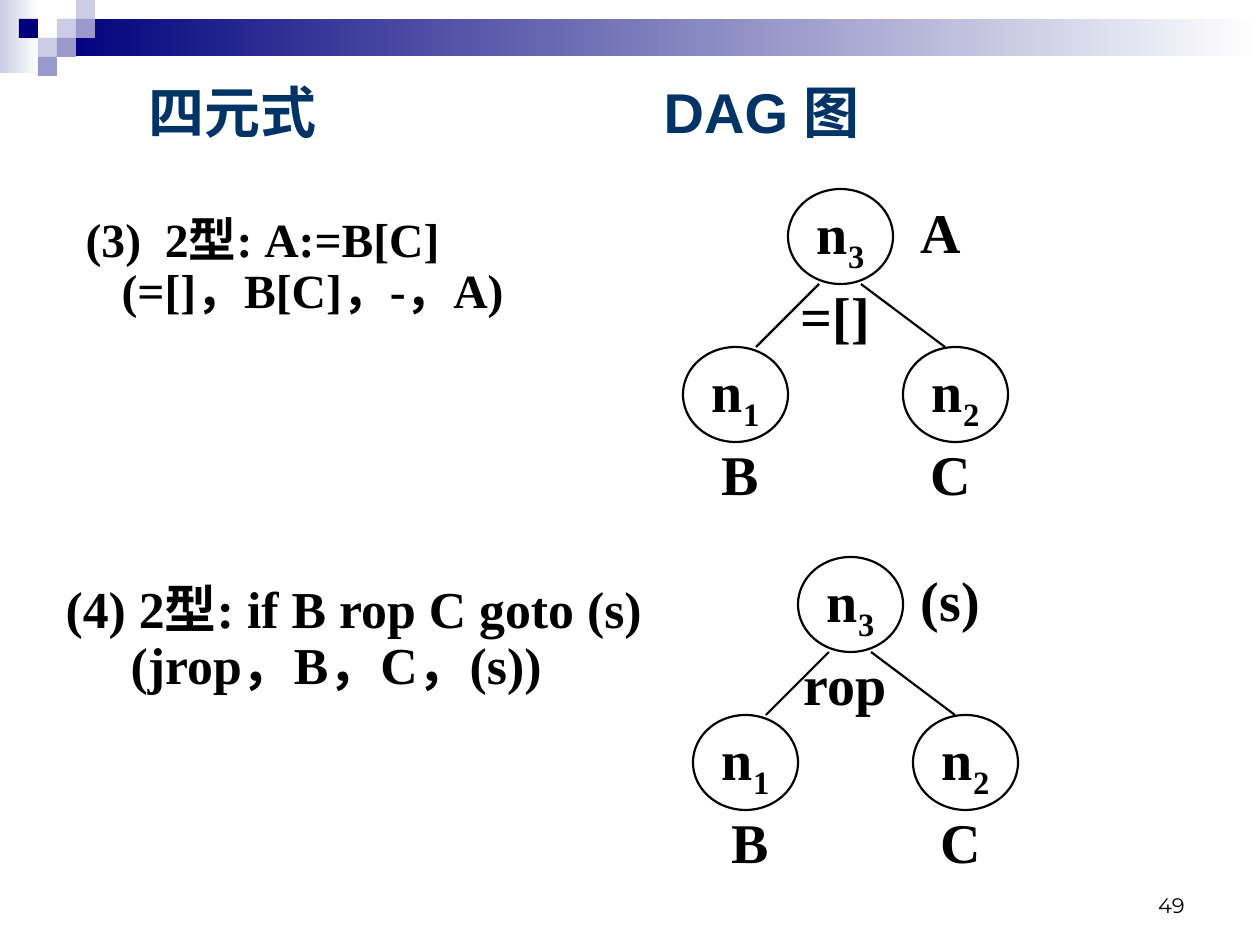
from lxml import etree
from pptx import Presentation
from pptx.dml.color import RGBColor
from pptx.enum.shapes import MSO_CONNECTOR, MSO_SHAPE
from pptx.enum.text import MSO_ANCHOR, MSO_AUTO_SIZE, PP_ALIGN
from pptx.oxml.ns import qn
from pptx.util import Pt

RECT, OVAL = MSO_SHAPE.RECTANGLE, MSO_SHAPE.OVAL
STRAIGHT = MSO_CONNECTOR.STRAIGHT
TOP, MIDDLE, BOTTOM = MSO_ANCHOR.TOP, MSO_ANCHOR.MIDDLE, MSO_ANCHOR.BOTTOM
LEFT, CENTER, RIGHT = PP_ALIGN.LEFT, PP_ALIGN.CENTER, PP_ALIGN.RIGHT
NO_FIT = MSO_AUTO_SIZE.NONE

SCALE = 914400 / 126
HEX = {"navy": "00007D", "mid": "9999CC", "pale": "CCCCE6",
       "white": "FFFFFF", "head": "003366", "ink": "000000"}
SERIF, SANS, NUM = "Times New Roman", "Arial", "Montserrat"


def px(*nums):
    """Turn px lengths into a list of EMU."""
    return [round(n * SCALE) for n in nums]


def rgb(name):
    """Look up a named colour."""
    return RGBColor.from_string(HEX[name])


def add_run(para, text, size, face=SERIF, color="ink", bold=True, base=0):
    """Add one formatted run to a paragraph."""
    run = para.add_run()
    run.text = text
    font = run.font
    font.size, font.name, font.bold = Pt(size), face, bold
    font.color.rgb = rgb(color)
    if base:
        run._r.get_or_add_rPr().set("baseline", str(base * 1000))


def set_frame(shape, anchor, wrap):
    """Fix the text frame of a shape and return it."""
    frame = shape.text_frame
    frame.auto_size = NO_FIT
    frame.word_wrap = wrap
    frame.vertical_anchor = anchor
    return frame


def move(shape, box):
    """Place a shape in a px box."""
    shape.left, shape.top, shape.width, shape.height = px(*box)


def add_block(slide, box, color, fade=False):
    """Add a rectangle, plain or fading to white."""
    shape = slide.shapes.add_shape(RECT, *px(*box))
    shape.shadow.inherit = False
    shape.line.fill.background()
    if not fade:
        shape.fill.solid()
        shape.fill.fore_color.rgb = rgb(color)
        return
    shape.fill.gradient()
    shape.fill.gradient_angle = 0
    for stop, name, pos in zip(shape.fill.gradient_stops, (color, "white"), (0, 1)):
        stop.color.rgb, stop.position = rgb(name), pos


def add_banner(slide, box):
    """Draw the fading bar and its mosaic of squares."""
    x, y, wide, high = box
    unit = 19
    add_block(slide, (x, y, 39, high), "pale", True)
    add_block(slide, (x + 3 * unit, y + unit, wide - 3 * unit, 37), "navy", True)
    tiles = [(3, 1, "pale"), (4, 0, "pale"), (4, 1, "mid"), (2, 2, "pale"),
             (1, 1, "navy"), (3, 2, "mid"), (2, 3, "mid")]
    for col, row, color in tiles:
        add_block(slide, (x + col * unit, y + row * unit, unit, unit), color)


def add_title(shape, box, text, stop):
    """Fill the title, with a tab stop between its two heads."""
    move(shape, box)
    para = set_frame(shape, TOP, True).paragraphs[0]
    para.alignment = LEFT
    tabs = etree.SubElement(para._p.get_or_add_pPr(), qn("a:tabLst"))
    etree.SubElement(tabs, qn("a:tab"), pos=str(px(stop)[0]), algn="l")
    add_run(para, text, 32, SANS, "head")


def add_rule(shape, box, lines, size, indent):
    """Fill a body with a rule and its indented quadruple."""
    move(shape, box)
    frame = set_frame(shape, TOP, True)
    for num, text in enumerate(lines):
        para = frame.add_paragraph() if num else frame.paragraphs[0]
        props = para._p.get_or_add_pPr()
        props.set("marL", str(px(num * indent)[0]))
        props.set("indent", "0")
        etree.SubElement(props, qn("a:buNone"))
        para.line_spacing, para.space_before = 0.9, Pt(0)
        add_run(para, text, size)


def add_node(slide, box, sub):
    """Add a circled node with its subscript."""
    shape = slide.shapes.add_shape(OVAL, *px(*box))
    shape.shadow.inherit = False
    shape.fill.background()
    shape.line.color.rgb, shape.line.width = rgb("ink"), Pt(1.25)
    para = set_frame(shape, MIDDLE, False).paragraphs[0]
    para.alignment = CENTER
    add_run(para, "n", 32)
    add_run(para, sub, 32, base=-25)


def add_label(slide, box, text):
    """Add a centred label."""
    shape = slide.shapes.add_textbox(*px(*box))
    para = set_frame(shape, MIDDLE, False).paragraphs[0]
    para.alignment = CENTER
    add_run(para, text, 32)


def add_edge(slide, ends):
    """Add a straight edge between two points."""
    edge = slide.shapes.add_connector(STRAIGHT, *px(*ends))
    edge.line.color.rgb, edge.line.width = rgb("ink"), Pt(1.25)
    etree.SubElement(edge._element.spPr, qn("a:effectLst"))


def add_tree(slide, box, root, sign):
    """Draw a DAG with a root over the leaves B and C."""
    x, y, wide, high = box
    nw, nh, drop = 105, 95, 158
    right = wide - nw
    for dx, dy, sub in [(right, drop, "2"), (0, drop, "1"), (nw, 0, "3")]:
        add_node(slide, (x + dx, y + dy, nw, nh), sub)
    lw, lh = 95, 84
    foot = high - lh
    for dx, dy, text in [(2 * nw, 0, root), (10, foot, "B"),
                         (nw, lh, sign), (right, foot, "C")]:
        add_label(slide, (x + dx, y + dy, lw, lh), text)
    for start, end in [(136, 73), (178, 262)]:
        add_edge(slide, (x + start, y + nh, x + end, y + drop))


def add_number(slide, box, text):
    """Add the page number."""
    shape = slide.shapes.add_textbox(*px(*box))
    para = set_frame(shape, BOTTOM, True).paragraphs[0]
    para.alignment = RIGHT
    add_run(para, text, 12, NUM, bold=False)


def main():
    """Build and save the slide."""
    deck = Presentation()
    deck.slide_width, deck.slide_height = px(1260, 945)
    slide = deck.slides.add_slide(deck.slide_layouts[3])
    title, upper, lower = slide.placeholders
    add_banner(slide, (0, 0, 1260, 73))
    add_title(title, (136, 71, 1050, 95), "四元式\tDAG 图", 515)
    add_rule(upper, (73, 210, 532, 179),
             ["(3)  2型: A:=B[C]", "(=[]，B[C]，-，A)"], 27.2, 36)
    add_tree(slide, (683, 189, 325, 326), "A", "=[]")
    add_rule(lower, (53, 577, 662, 179),
             ["(4) 2型: if B rop C goto (s)", "(jrop，B，C，(s))"], 29.6, 65)
    add_tree(slide, (693, 557, 325, 326), "(s)", "rop")
    add_number(slide, (903, 861, 294, 63), "49")
    deck.save("out.pptx")


if __name__ == "__main__":
    main()
